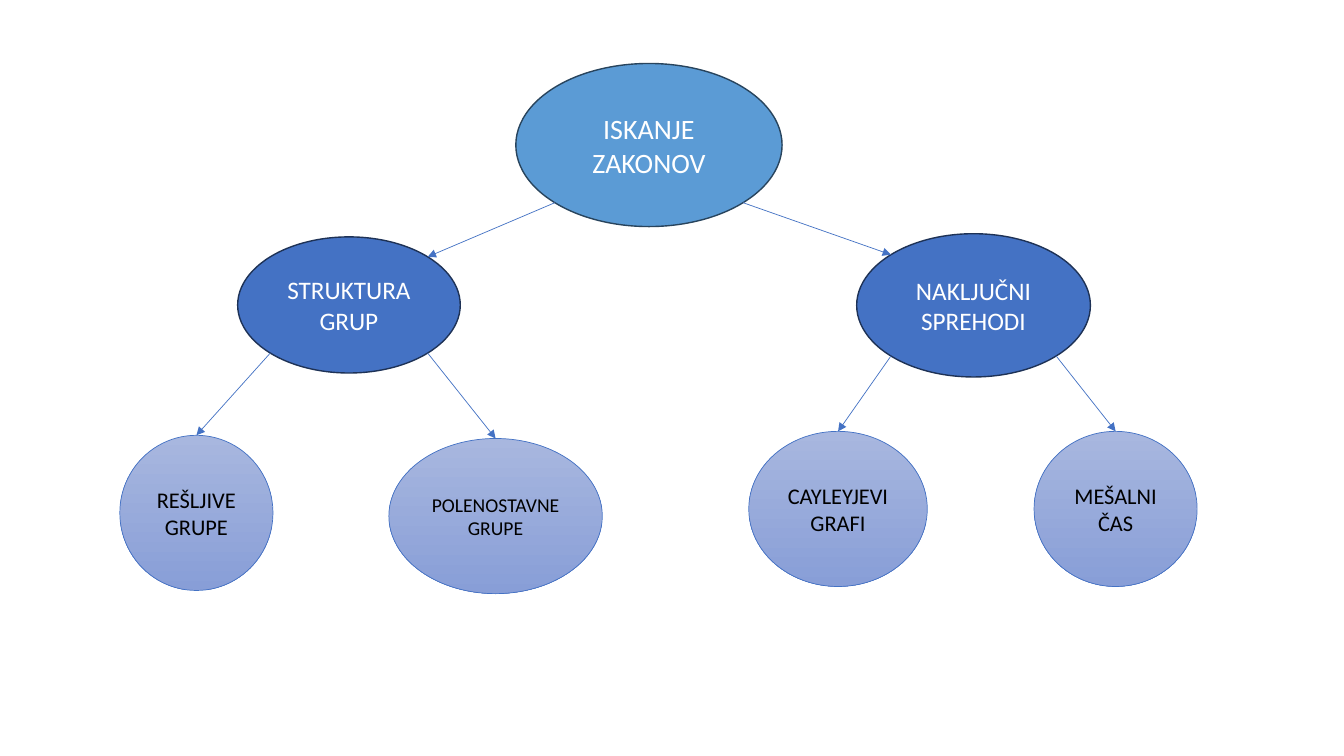
import math
from typing import NamedTuple

import pptx
import pptx.dml.color
import pptx.enum.shapes
import pptx.enum.text
import pptx.oxml
import pptx.oxml.ns
import pptx.util
from pptx.util import Cm

RGBColor = pptx.dml.color.RGBColor
SKY = RGBColor(0x5B, 0x9B, 0xD5)
SKY_EDGE = RGBColor(0x28, 0x44, 0x5D)
BLUE = RGBColor(0x44, 0x72, 0xC4)
BLUE_EDGE = RGBColor(0x1E, 0x32, 0x56)
LILAC_TOP = RGBColor(0xA8, 0xB7, 0xDF)
LILAC_BOTTOM = RGBColor(0x88, 0x9E, 0xD7)
WHITE = RGBColor(0xFF, 0xFF, 0xFF)
BLACK = RGBColor(0, 0, 0)


class Box(NamedTuple):
    left: float
    top: float
    width: float
    height: float


class Style(NamedTuple):
    fills: tuple
    edge: RGBColor
    edge_width: float
    ink: RGBColor


ROOT = Style((SKY,), SKY_EDGE, 1, WHITE)
THEME = Style((BLUE,), BLUE_EDGE, 1, WHITE)
TOPIC = Style((LILAC_TOP, LILAC_BOTTOM), BLUE, 0.5, BLACK)

ROOT_BOX = Box(13, 1.6, 6.71, 4.11)
BRANCHES = [
    (Box(3.02, 5.97, 12.16, 8.99), 1,
     ("STRUKTURA GRUP", Box(2.97, 0, 5.61, 3.43)),
     [("REŠLJIVE GRUPE", 16, Box(0, 5, 3.86, 3.91)),
      ("POLENOSTAVNE GRUPE", 14, Box(6.78, 5.08, 5.38, 3.91))]),
    (Box(18.87, 5.89, 11.3, 8.89), -1,
     ("NAKLJUČNI SPREHODI", Box(2.72, 0, 5.89, 3.61)),
     [("CAYLEYJEVI GRAFI", 16, Box(0, 4.98, 4.5, 3.91)),
      ("MEŠALNI ČAS", 16, Box(7.19, 4.98, 4.11, 3.91))]),
]


def within(region, part):
    return Box(region.left + part.left, region.top + part.top, part.width, part.height)


def rim_point(box, across, down):
    """Return a diagonal point on the ellipse; across and down are -1 or 1."""
    reach = math.sqrt(0.5)
    return (box.left + box.width / 2 * (1 + across * reach),
            box.top + box.height / 2 * (1 + down * reach))


def top_point(box):
    return box.left + box.width / 2, box.top


def draw_bubble(slide, box, label, size, style):
    bubble = slide.shapes.add_shape(
        pptx.enum.shapes.MSO_SHAPE.OVAL, *(Cm(length) for length in box))
    bubble.shadow.inherit = False
    if len(style.fills) == 1:
        bubble.fill.solid()
        bubble.fill.fore_color.rgb = style.fills[0]
    else:
        bubble.fill.gradient()
        bubble.fill.gradient_angle = 270
        for stop, color in zip(bubble.fill.gradient_stops, style.fills):
            stop.color.rgb = color
    bubble.line.color.rgb = style.edge
    bubble.line.width = pptx.util.Pt(style.edge_width)

    frame = bubble.text_frame
    frame.word_wrap = True
    frame.vertical_anchor = pptx.enum.text.MSO_ANCHOR.MIDDLE
    paragraph = frame.paragraphs[0]
    paragraph.text = label
    paragraph.alignment = pptx.enum.text.PP_ALIGN.CENTER
    paragraph.font.name = "Calibri"
    paragraph.font.size = pptx.util.Pt(size)
    paragraph.font.color.rgb = style.ink


def draw_arrow(slide, start, end):
    arrow = slide.shapes.add_connector(
        pptx.enum.shapes.MSO_CONNECTOR.STRAIGHT, *(Cm(length) for length in start + end))
    arrow.line.color.rgb = BLUE
    arrow.line.width = pptx.util.Pt(0.5)
    qn = pptx.oxml.ns.qn
    head = arrow.line._get_or_add_ln().makeelement(qn("a:tailEnd"), {"type": "triangle"})
    arrow.line._get_or_add_ln().append(head)
    properties = arrow._element.spPr
    properties.append(properties.makeelement(qn("a:effectLst"), {}))


def draw_branch(slide, region, inner_side, theme, topics):
    label, place = theme
    theme_box = within(region, place)
    draw_bubble(slide, theme_box, label, 18, THEME)
    draw_arrow(slide, rim_point(ROOT_BOX, -inner_side, 1),
               rim_point(theme_box, inner_side, -1))
    for side, (label, size, place) in zip((-1, 1), topics):
        topic_box = within(region, place)
        draw_bubble(slide, topic_box, label, size, TOPIC)
        draw_arrow(slide, rim_point(theme_box, side, 1), top_point(topic_box))


def main():
    presentation = pptx.Presentation()
    presentation.slide_width = Cm(33.87)
    presentation.slide_height = Cm(19.05)
    slide = presentation.slides.add_slide(presentation.slide_layouts[6])
    draw_bubble(slide, ROOT_BOX, "ISKANJE ZAKONOV", 20, ROOT)
    for region, inner_side, theme, topics in BRANCHES:
        draw_branch(slide, region, inner_side, theme, topics)
    presentation.save("out.pptx")


if __name__ == "__main__":
    main()
